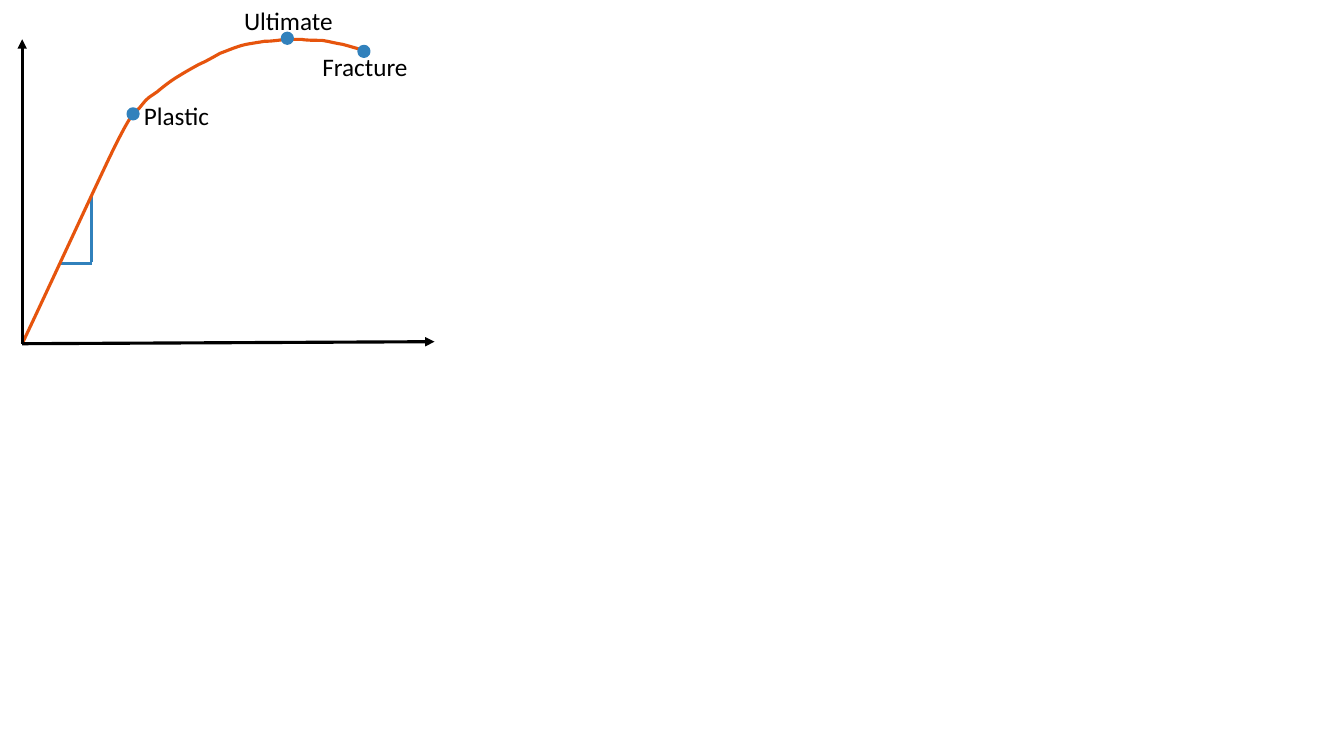
from lxml import etree
from pptx import Presentation
from pptx.dml.color import RGBColor
from pptx.enum.shapes import MSO_CONNECTOR, MSO_SHAPE
from pptx.enum.text import MSO_AUTO_SIZE, PP_ALIGN
from pptx.oxml.ns import qn
from pptx.util import Inches, Pt

STRAIGHT = MSO_CONNECTOR.STRAIGHT
OVAL = MSO_SHAPE.OVAL
CENTER = PP_ALIGN.CENTER
GROW = MSO_AUTO_SIZE.SHAPE_TO_FIT_TEXT

BLACK = RGBColor(0x00, 0x00, 0x00)
BLUE = RGBColor(0x31, 0x81, 0xBC)
ORANGE = RGBColor(0xE6, 0x54, 0x0D)
FONT = "Calibri"
TEXT_SIZE = Pt(18)
LINE_WIDTH = Pt(2.25)

# Lengths in inches
ORIGIN = (0.22, 3.41)
AXIS_TIPS = [(0.22, 0.39), (4.31, 3.39)]
SLOPE_LEGS = [((0.91, 1.94), (0.91, 2.6)), ((0.91, 2.61), (0.6, 2.61))]
# Each stretch of the stress curve: two control points, then its end
CURVE = [
    ((0.58, 2.65), (0.95, 1.84), (1.14, 1.45)),
    ((1.34, 1.05), (1.33, 1.14), (1.4, 1.05)),
    ((1.47, 0.96), (1.49, 0.96), (1.56, 0.91)),
    ((1.63, 0.85), (1.71, 0.79), (1.78, 0.75)),
    ((1.86, 0.7), (1.9, 0.68), (1.97, 0.64)),
    ((2.04, 0.61), (2.11, 0.57), (2.18, 0.53)),
    ((2.26, 0.5), (2.33, 0.47), (2.4, 0.45)),
    ((2.48, 0.43), (2.57, 0.42), (2.62, 0.41)),
    ((2.68, 0.41), (2.77, 0.4), (2.82, 0.39)),
    ((2.82, 0.39), (2.99, 0.39), (2.99, 0.39)),
    ((3.03, 0.4), (3.12, 0.4), (3.19, 0.4)),
    ((3.26, 0.41), (3.33, 0.43), (3.4, 0.44)),
    ((3.47, 0.46), (3.54, 0.48), (3.61, 0.5)),
]
CURVE_STEPS = 10
# Label, its left, top and width, then the centre of its point
STAGES = [
    ("Ultimate", (2.24, 0, 1.24), (2.85, 0.38)),
    ("Fracture", (3.09, 0.46, 1.06), (3.61, 0.51)),
    ("Plastic", (1.23, 0.95, 1.04), (1.32, 1.13)),
]
LABEL_HEIGHT = 0.4
DOT = 0.1


def bezier(start, first, second, end, t):
    """Return the point at t on a cubic curve, in EMU."""
    u = 1 - t
    weights = (u ** 3, 3 * u * u * t, 3 * u * t * t, t ** 3)
    points = (start, first, second, end)
    return tuple(
        Inches(sum(w * p[axis] for w, p in zip(weights, points)))
        for axis in (0, 1)
    )


def set_line(shape, color):
    shape.line.color.rgb = color
    shape.line.width = LINE_WIDTH


def add_line(shapes, start, end, color, arrow=False):
    line = shapes.add_connector(STRAIGHT, *map(Inches, start + end))
    set_line(line, color)
    if arrow:
        etree.SubElement(line.line._get_or_add_ln(), qn("a:tailEnd"), type="triangle")
    etree.SubElement(line._element.spPr, qn("a:effectLst"))


def add_curve(shapes):
    points = []
    start = ORIGIN
    for first, second, end in CURVE:
        points += [
            bezier(start, first, second, end, step / CURVE_STEPS)
            for step in range(1, CURVE_STEPS + 1)
        ]
        start = end
    builder = shapes.build_freeform(*map(Inches, ORIGIN))
    builder.add_line_segments(points, close=False)
    curve = builder.convert_to_shape()
    curve.shadow.inherit = False
    curve.fill.background()
    set_line(curve, ORANGE)


def add_dot(shapes, center):
    left, top = (Inches(c - DOT / 2) for c in center)
    dot = shapes.add_shape(OVAL, left, top, Inches(DOT), Inches(DOT))
    dot.shadow.inherit = False
    dot.fill.solid()
    dot.fill.fore_color.rgb = BLUE
    set_line(dot, BLUE)


def add_label(shapes, text, place):
    label = shapes.add_textbox(*map(Inches, place + (LABEL_HEIGHT,)))
    frame = label.text_frame
    frame.word_wrap = True
    frame.auto_size = GROW
    paragraph = frame.paragraphs[0]
    paragraph.alignment = CENTER
    run = paragraph.add_run()
    run.text = text
    run.font.name = FONT
    run.font.size = TEXT_SIZE
    run.font.color.rgb = BLACK


def main():
    deck = Presentation()
    deck.slide_width, deck.slide_height = Inches(13.33), Inches(7.5)
    shapes = deck.slides.add_slide(deck.slide_layouts[6]).shapes
    for start, end in SLOPE_LEGS:
        add_line(shapes, start, end, BLUE)
    add_curve(shapes)
    for tip in AXIS_TIPS:
        add_line(shapes, ORIGIN, tip, BLACK, arrow=True)
    for text, place, center in STAGES:
        add_label(shapes, text, place)
        add_dot(shapes, center)
    deck.save("out.pptx")


if __name__ == "__main__":
    main()
